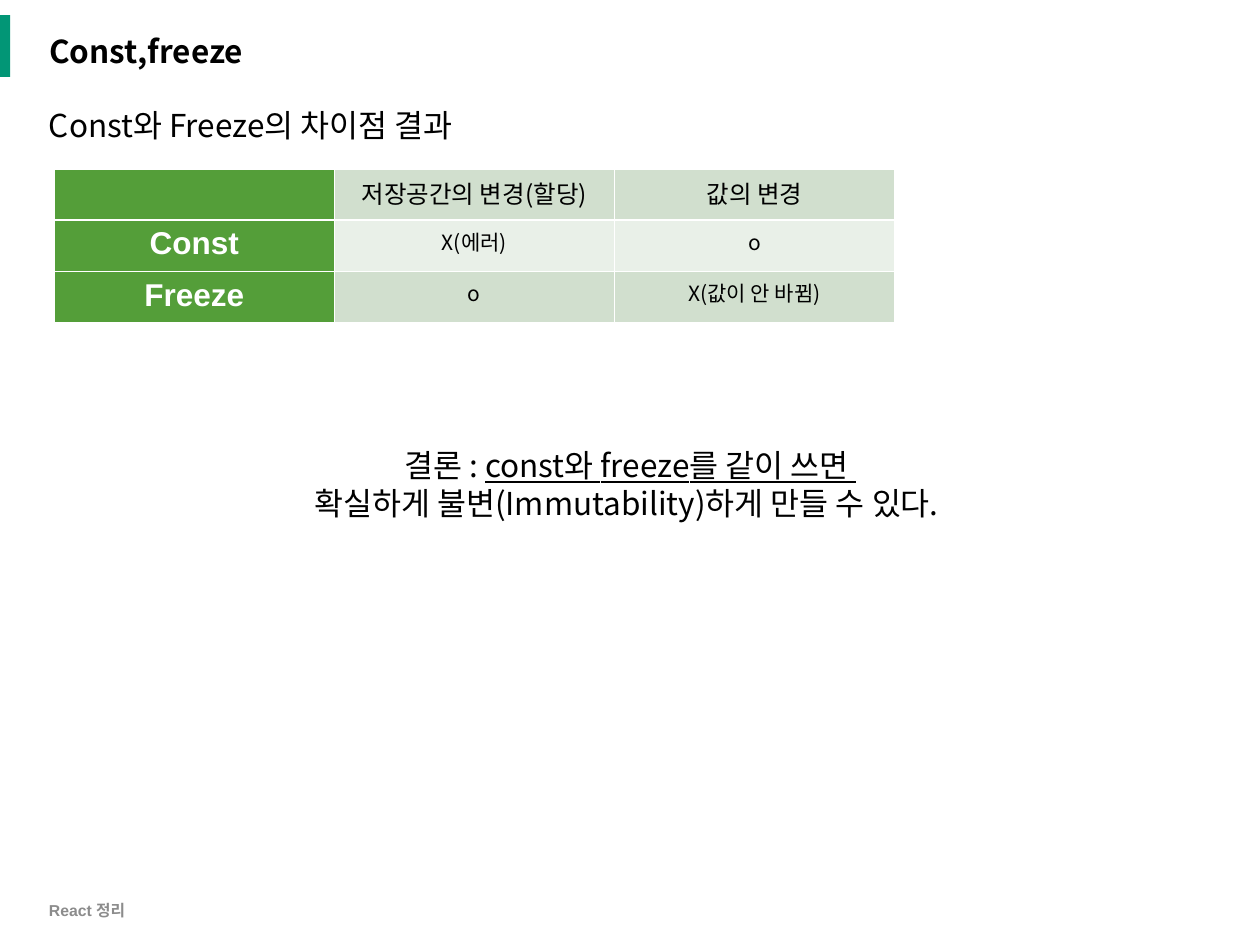
from pptx import Presentation
from pptx.dml.color import RGBColor
from pptx.enum.shapes import MSO_SHAPE
from pptx.enum.text import MSO_ANCHOR, MSO_AUTO_SIZE, PP_ALIGN
from pptx.oxml import parse_xml
from pptx.oxml.ns import nsdecls
from pptx.util import Inches, Pt

COLORS = {"accent": "029676", "header": "549E39", "band": "D1DFCE", "light": "E9F0E8",
          "text": "000000", "muted": "8C8C8C", "white": "FFFFFF"}
KOREAN, LATIN = "Noto Sans CJK KR", "Arial"
FORMATS = {
    "title": {"name": KOREAN, "size": Pt(18), "bold": True, "color": "text"},
    "body": {"name": KOREAN, "size": Pt(18), "color": "text"},
    "stress": {"name": KOREAN, "size": Pt(18), "color": "text", "underline": True},
    "footer": {"name": LATIN, "size": Pt(9), "bold": True, "color": "muted"},
    "column": {"name": KOREAN, "size": Pt(14), "bold": False, "color": "text"},
    "row": {"name": LATIN, "size": Pt(18), "bold": True, "color": "white"},
    "value": {"name": KOREAN, "size": Pt(12), "bold": False, "color": "text"},
}
GRID_COLUMNS, GRID_ROWS = 100, 75


def rgb(name):
    """Return the named colour."""
    return RGBColor.from_string(COLORS[name])


class SlideBuilder:
    """Holds the grid, the style and the current slide."""

    def __init__(self, presentation):
        """Add a title-only slide and measure the grid."""
        self.slide = presentation.slides.add_slide(presentation.slide_layouts[5])
        self.column = presentation.slide_width / GRID_COLUMNS
        self.row = presentation.slide_height / GRID_ROWS

    def place(self, left, top, width, height):
        """Turn grid columns and rows into slide lengths."""
        return (round(left * self.column), round(top * self.row),
                round(width * self.column), round(height * self.row))

    def add_runs(self, paragraph, runs, align=PP_ALIGN.LEFT):
        """Put (text, format) runs into a paragraph."""
        paragraph.alignment = align
        for text, style in runs:
            run = paragraph.add_run()
            run.text = text
            for key, value in FORMATS[style].items():
                if key == "color":
                    run.font.color.rgb = rgb(value)
                else:
                    setattr(run.font, key, value)
            run.font._element.append(
                parse_xml(f'<a:ea {nsdecls("a")} typeface="{KOREAN}"/>'))

    def title(self, text, box):
        """Move and format the title placeholder."""
        title = self.slide.shapes.title
        title.left, title.top, title.width, title.height = self.place(*box)
        title.text_frame.vertical_anchor = MSO_ANCHOR.MIDDLE
        title.text_frame.auto_size = MSO_AUTO_SIZE.NONE
        paragraph = title.text_frame.paragraphs[0]
        paragraph.line_spacing = 0.9
        self.add_runs(paragraph, [(text, "title")])

    def bar(self, box, color):
        """Add a plain filled rectangle."""
        shape = self.slide.shapes.add_shape(MSO_SHAPE.RECTANGLE, *self.place(*box))
        shape.shadow.inherit = False
        shape.fill.solid()
        shape.fill.fore_color.rgb = rgb(color)
        shape.line.fill.background()

    def text(self, lines, box, align=PP_ALIGN.LEFT, anchor=MSO_ANCHOR.TOP, wrap=True):
        """Add a text box with one paragraph per list of runs."""
        frame = self.slide.shapes.add_textbox(*self.place(*box)).text_frame
        frame.word_wrap = wrap
        frame.vertical_anchor = anchor
        for index, runs in enumerate(lines):
            paragraph = frame.add_paragraph() if index else frame.paragraphs[0]
            self.add_runs(paragraph, runs, align)

    def table(self, rows, box):
        """Add a table with a header column, banded rows and white borders."""
        table = self.slide.shapes.add_table(
            len(rows), len(rows[0]), *self.place(*box)).table
        for row_index, values in enumerate(rows):
            for column_index, value in enumerate(values):
                cell = table.cell(row_index, column_index)
                style = "row" if column_index == 0 else "value" if row_index else "column"
                band = "light" if row_index % 2 else "band"
                cell.fill.solid()
                cell.fill.fore_color.rgb = rgb("header" if column_index == 0 else band)
                self.borders(cell)
                if value:
                    self.add_runs(cell.text_frame.paragraphs[0], [(value, style)],
                                  PP_ALIGN.CENTER)

    def borders(self, cell):
        """Draw thin white lines on all four sides of a cell."""
        properties = cell._tc.get_or_add_tcPr()
        for index, side in enumerate("LRTB"):
            properties.insert(index, parse_xml(
                f'<a:ln{side} {nsdecls("a")} w="{Pt(1)}"><a:solidFill>'
                f'<a:srgbClr val="{COLORS["white"]}"/></a:solidFill></a:ln{side}>'))


def main():
    """Build and save the slide."""
    presentation = Presentation()
    presentation.slide_width, presentation.slide_height = Inches(10), Inches(7.5)
    builder = SlideBuilder(presentation)
    builder.bar((0, 1.2, 0.8, 4.9), "accent")
    builder.title("Const,freeze", (2.9, 1.8, 94.5, 4.9))
    builder.text([[("React 정리", "footer")]], (2.9, 71, 33.8, 2.5),
                 anchor=MSO_ANCHOR.MIDDLE)
    builder.text([[("Const와 Freeze의 차이점 결과", "body")]], (2.9, 7.9, 39.3, 4),
                 wrap=False)
    builder.table([["", "저장공간의 변경(할당)", "값의 변경"],
                   ["Const", "X(에러)", "o"],
                   ["Freeze", "o", "X(값이 안 바뀜)"]], (4.3, 13.4, 66.7, 12.2))
    builder.text([[("결론 : ", "body"), ("const와 freeze를 같이 쓰면 ", "stress")],
                  [("확실하게 불변(Immutability)하게 만들 수 있다. ", "body")]],
                 (0, 34.9, 100, 7.1), align=PP_ALIGN.CENTER)
    presentation.save("out.pptx")


main()
